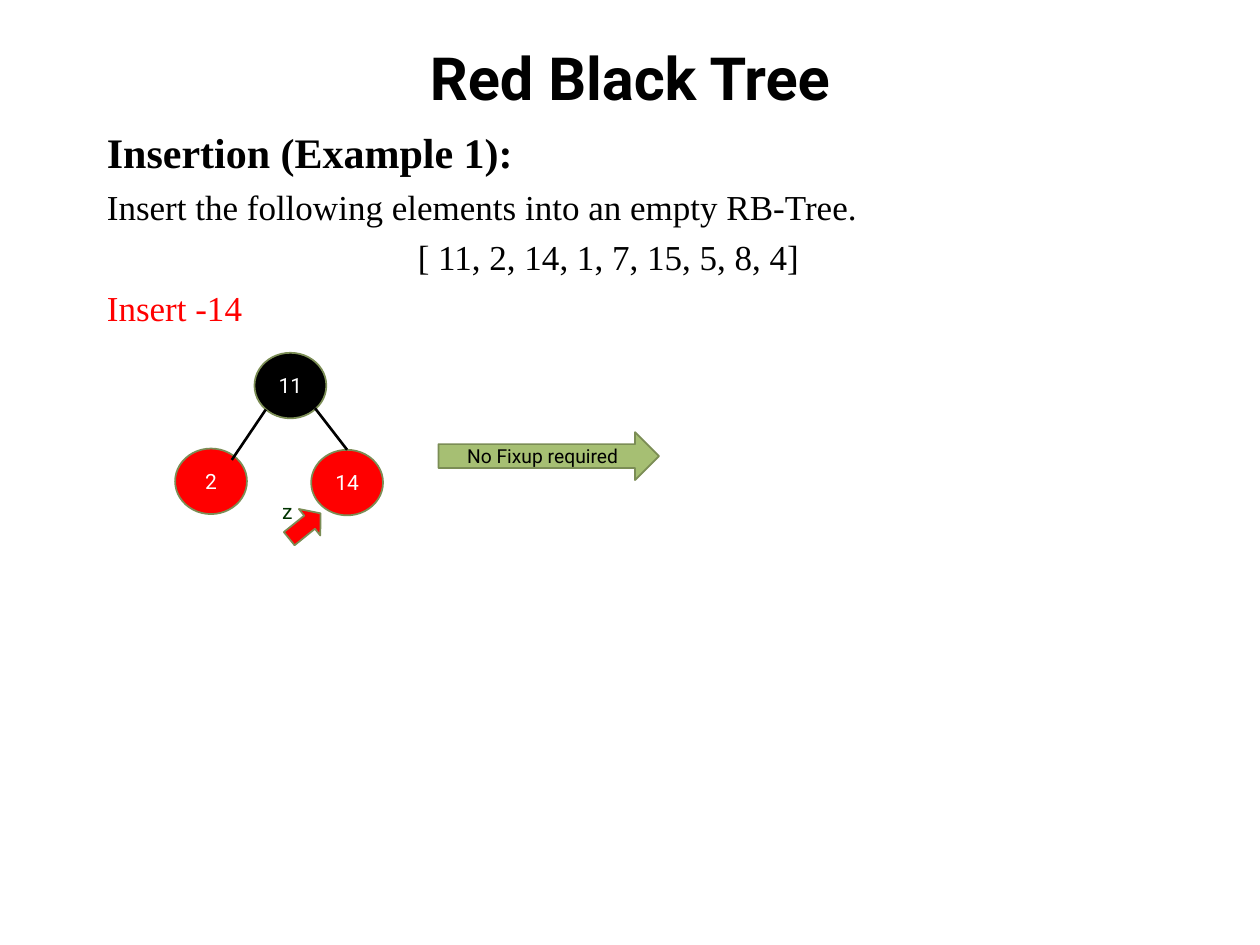
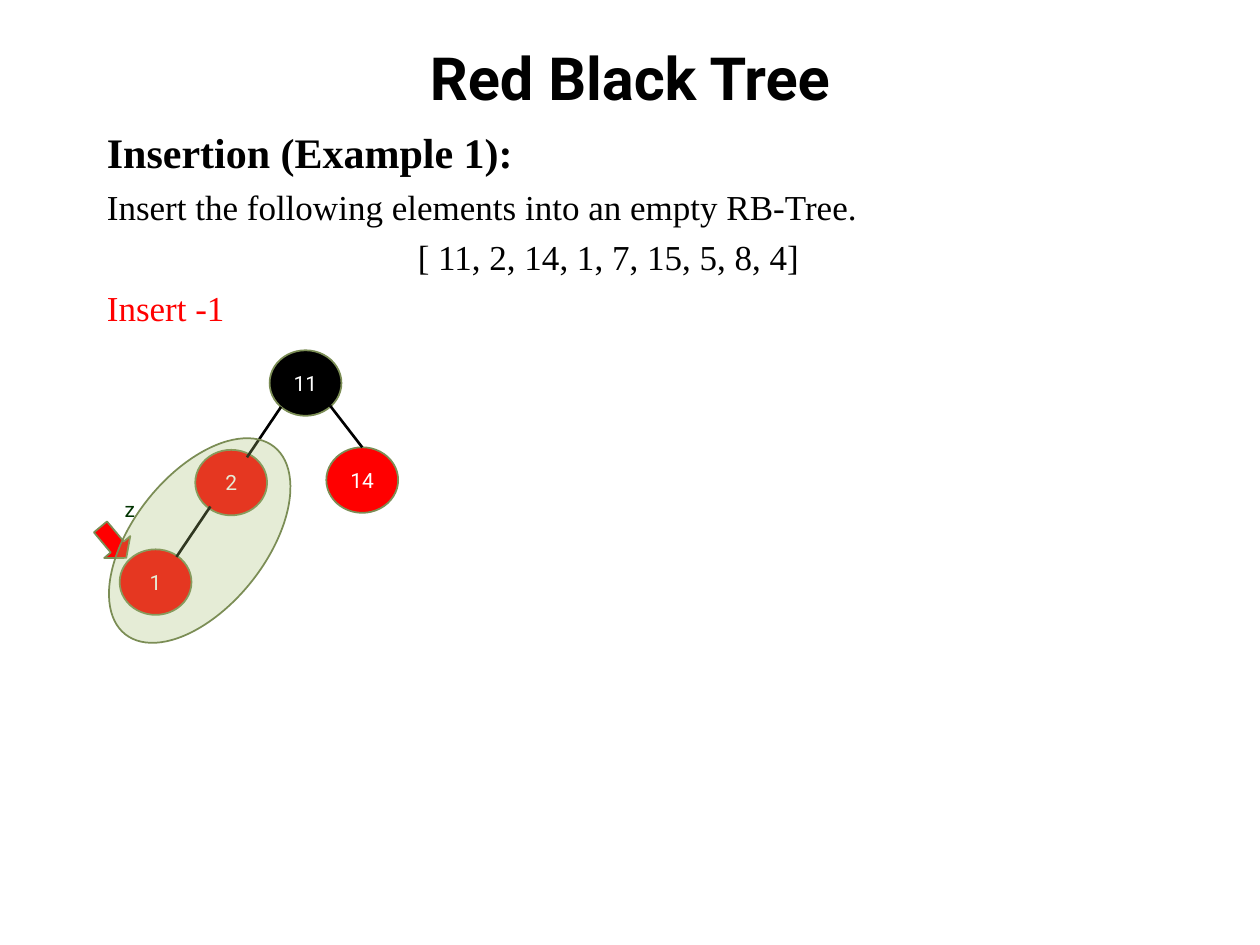
"""Builds two slides on red-black tree insertion."""
from dataclasses import dataclass

from lxml import etree
from pptx import Presentation
from pptx import util as u
from pptx.dml.color import RGBColor
from pptx.enum import shapes, text
from pptx.oxml import ns

TITLE = "Red Black Tree"
HEADING = "Insertion (Example 1):"
TASK = "Insert the following elements into an empty RB-Tree."
ELEMENTS = "[ 11, 2, 14, 1, 7, 15, 5, 8, 4]"

STEPS = [
    {
        "insert": "Insert -14",
        "nodes": {"2": (1.39, 3.56), "11": (2.02, 2.8), "14": (2.47, 3.57)},
        "left_edges": ["11"],
        "right_edges": [("11", "14")],
        "z_label": (2.14, 3.91),
        "z_arrow": (2.26, 4.04, 321),
        "note": "No Fixup required",
    },
    {
        "insert": "Insert -1",
        "nodes": {"2": (1.55, 3.57), "11": (2.14, 2.78),
                  "14": (2.59, 3.55), "1": (0.95, 4.36)},
        "left_edges": ["11", "2"],
        "right_edges": [("11", "14")],
        "z_label": (0.89, 3.89),
        "z_arrow": (0.74, 4.17, 50.1),
        "conflict": (1.06, 3.34, 1.05, 1.9, 38.5),
    },
]
ROOT = "11"
NOTE_BOX = (3.48, 3.43, 1.75, 0.38)
NODE_W, NODE_H = 0.57, 0.52


@dataclass(frozen=True)
class Theme:
    """Colours, fonts and type sizes."""
    black: str = "000000"
    white: str = "FFFFFF"
    red: str = "FF0000"
    green: str = "A6BF73"
    outline: str = "7B8D55"
    label: str = "003300"
    sans: str = "Roboto"
    serif: str = "Times New Roman"
    title: int = 34
    heading: int = 24
    body: int = 20
    node: int = 12
    note: int = 11


T = Theme()


def inches(*values):
    return [u.Inches(v) for v in values]


def style(p, font, size, color, bold=False, align=None):
    p.alignment = align
    for r in p.runs:
        r.font.name, r.font.size, r.font.bold = font, u.Pt(size), bold
        r.font.color.rgb = RGBColor.from_string(color)


def add_shape(s, kind, box, fill, rotation=0):
    sp = s.shapes.add_shape(kind, *inches(*box))
    sp.shadow.inherit = False
    sp.rotation = rotation
    sp.fill.solid()
    sp.fill.fore_color.rgb = RGBColor.from_string(fill)
    sp.line.color.rgb = RGBColor.from_string(T.outline)
    sp.line.width = u.Pt(1)
    return sp


def add_caption(sp, words, size, color):
    tf = sp.text_frame
    tf.margin_left = tf.margin_right = tf.margin_top = tf.margin_bottom = 0
    tf.vertical_anchor = text.MSO_ANCHOR.MIDDLE
    tf.text = words
    style(tf.paragraphs[0], T.sans, size, color, align=text.PP_ALIGN.CENTER)


def add_edge(s, x1, y1, x2, y2):
    line = s.shapes.add_connector(shapes.MSO_CONNECTOR.STRAIGHT, *inches(x1, y1, x2, y2))
    line.line.color.rgb = RGBColor.from_string(T.black)
    line.line.width = u.Pt(1.5)
    etree.SubElement(line._element.spPr, ns.qn("a:effectLst"))
    return line


def add_title(s):
    sp = s.shapes.title
    sp.left, sp.top, sp.width, sp.height = inches(0.5, 0.21, 9, 0.79)
    sp.text_frame.text = TITLE
    sp.text_frame.vertical_anchor = text.MSO_ANCHOR.MIDDLE
    style(sp.text_frame.paragraphs[0], T.sans, T.title, T.black, True, text.PP_ALIGN.CENTER)


def add_body(s, insert):
    tf = s.shapes.add_textbox(*inches(0.75, 0.92, 8.16, 1.79)).text_frame
    tf.word_wrap = True
    tf.margin_top = u.Inches(0.08)
    align = text.PP_ALIGN
    lines = [
        (HEADING, T.heading, T.black, True, align.JUSTIFY),
        (TASK, T.body, T.black, False, align.JUSTIFY),
        (ELEMENTS, T.body, T.black, False, align.CENTER),
        (insert, T.body, T.red, False, align.LEFT),
    ]
    for i, (words, *look) in enumerate(lines):
        p = tf.add_paragraph() if i else tf.paragraphs[0]
        p.text = words
        p.space_before = u.Pt(5 if i else 0)
        style(p, T.serif, *look)


def add_marker(s, label, arrow):
    tf = s.shapes.add_textbox(*inches(*label, 0.27, 0.3)).text_frame
    tf.word_wrap = False
    tf.text = "z"
    style(tf.paragraphs[0], T.sans, T.node, T.label)
    x, y, rotation = arrow
    sp = add_shape(s, shapes.MSO_SHAPE.RIGHT_ARROW, (x, y, 0.32, 0.27), T.red, rotation)
    sp.adjustments[1] = 0.415


def add_tree(s, step):
    nodes = step["nodes"]
    ovals = {}
    for key, (x, y) in nodes.items():
        fill = T.black if key == ROOT else T.red
        ovals[key] = add_shape(s, shapes.MSO_SHAPE.OVAL, (x, y, NODE_W, NODE_H), fill)
        add_caption(ovals[key], key, T.node, T.white)
    for parent in step["left_edges"]:
        x, y = nodes[parent]
        inset = 0.09 if parent == ROOT else 0.12
        add_edge(s, x + inset, y + 0.45, x + inset - 0.27, y + 0.85)
    for parent, child in step["right_edges"]:
        x, y = nodes[parent]
        cx, cy = nodes[child]
        line = add_edge(s, x + 0.48, y + 0.44, cx + NODE_W / 2, cy)
        line.end_connect(ovals[child], 0)


def add_conflict(s, x, y, w, h, rotation):
    sp = add_shape(s, shapes.MSO_SHAPE.OVAL, (x, y, w, h), T.green, rotation)
    color = sp._element.spPr.find(ns.qn("a:solidFill"))[0]
    etree.SubElement(color, ns.qn("a:alpha"), val="29000")


def add_step(prs, step):
    s = prs.slides.add_slide(prs.slide_layouts[5])
    add_title(s)
    add_body(s, step["insert"])
    if "note" in step:
        sp = add_shape(s, shapes.MSO_SHAPE.RIGHT_ARROW, NOTE_BOX, T.green)
        add_caption(sp, step["note"], T.note, T.black)
    add_marker(s, step["z_label"], step["z_arrow"])
    add_tree(s, step)
    if "conflict" in step:
        add_conflict(s, *step["conflict"])


def main():
    prs = Presentation()
    prs.slide_width, prs.slide_height = inches(10, 7.5)
    for step in STEPS:
        add_step(prs, step)
    prs.save("out.pptx")


if __name__ == "__main__":
    main()
